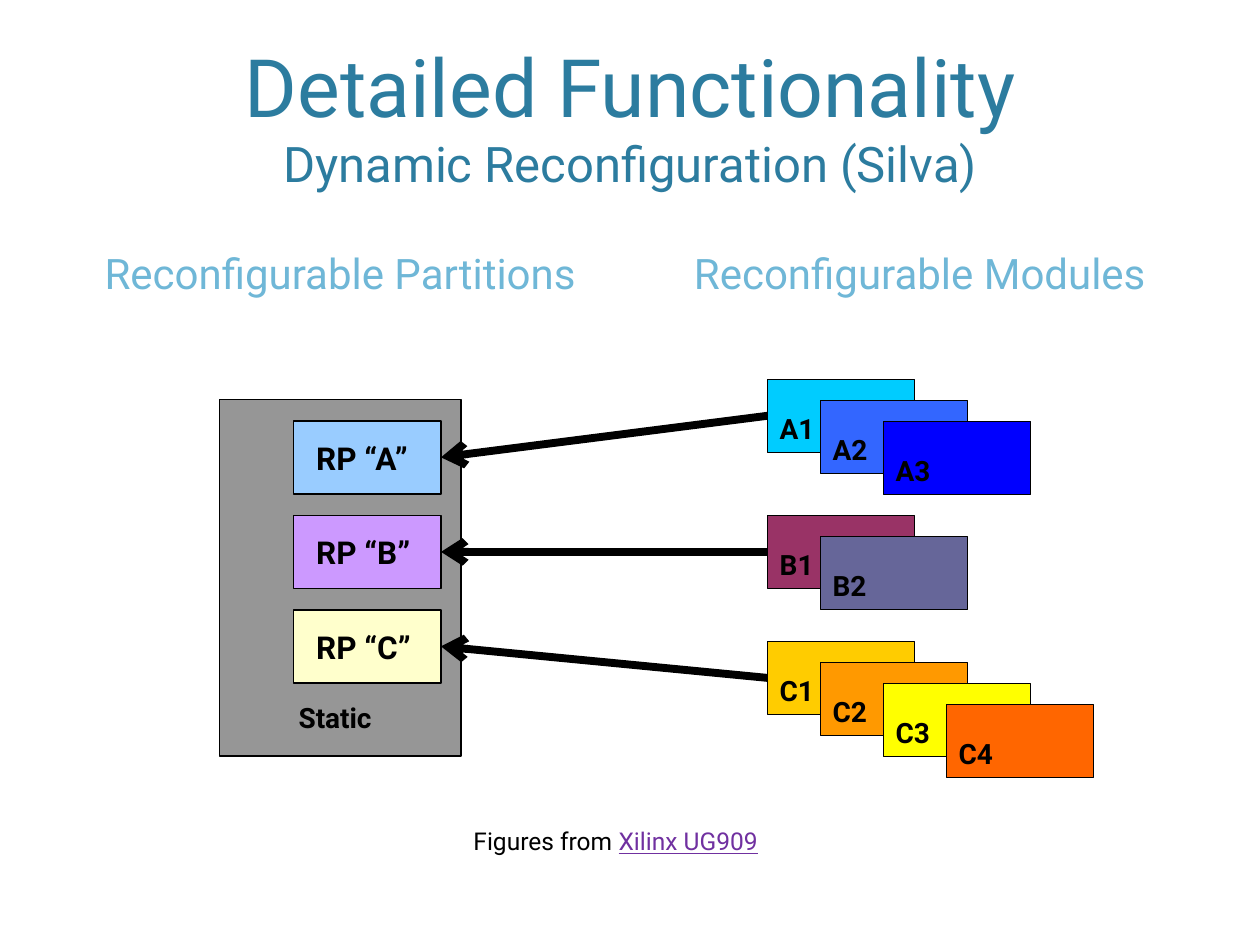
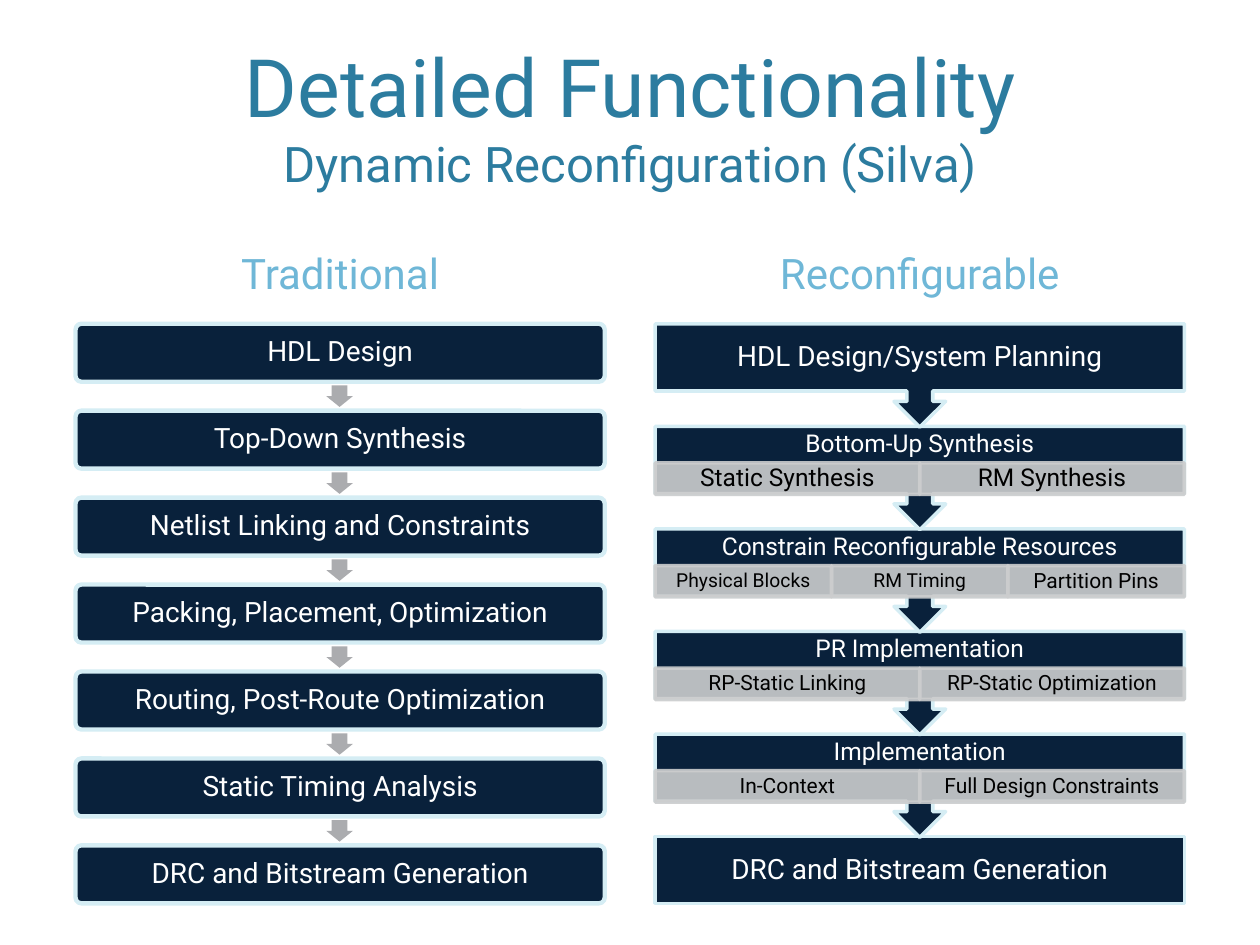
"""Build two slides on dynamic reconfiguration."""
from dataclasses import dataclass

from lxml import etree
from pptx import Presentation
from pptx import util as u
from pptx.dml import color as dml
from pptx.enum import shapes, text
from pptx.oxml import ns


@dataclass(frozen=True)
class Theme:
    font: str = "Roboto"
    title: str = "2C7C9F"
    head: str = "6FB7D7"
    navy: str = "09213B"
    pale: str = "D5EDF4"
    cell: str = "CCCDCE"
    arrow: str = "ABACAF"
    grey: str = "969696"
    link: str = "7030A0"
    black: str = "000000"
    white: str = "FFFFFF"
    huge: int = 46
    large: int = 28
    mid: int = 24
    label: int = 18
    body: int = 16
    small: int = 14
    tiny: int = 12
    least: int = 11


T = Theme()
FORM = shapes.MSO_SHAPE
ANCHOR = text.MSO_ANCHOR
ALIGN = text.PP_ALIGN


def draw(page, form, at, fill=None, edge=None, width=0.75, alpha=None):
    spot = [u.Inches(n) for n in at]
    if form is None:
        return page.shapes.add_textbox(*spot)
    shape = page.shapes.add_shape(form, *spot)
    shape.shadow.inherit = False
    shape.fill.solid()
    shape.fill.fore_color.rgb = dml.RGBColor.from_string(fill)
    if edge:
        shape.line.color.rgb = dml.RGBColor.from_string(edge)
        shape.line.width = u.Pt(width)
    else:
        shape.line.fill.background()
    if alpha:
        for tint in shape._element.spPr.iter(ns.qn("a:srgbClr")):
            etree.SubElement(tint, ns.qn("a:alpha"), val=str(alpha * 1000))
    return shape


def write(shape, runs, anchor=ANCHOR.MIDDLE, align=ALIGN.CENTER,
          pads=(0.1, 0.05, 0.1, 0.05), bold=False, space=1.0):
    frame = shape.text_frame
    frame.word_wrap = True
    frame.vertical_anchor = anchor
    frame.margin_left, frame.margin_top, frame.margin_right, frame.margin_bottom = [
        u.Inches(n) for n in pads]
    para = frame.paragraphs[0]
    para.alignment = align
    para.line_spacing = space
    for spot, (words, size, tint) in enumerate(runs):
        if spot and anchor == ANCHOR.BOTTOM:
            para.add_line_break()
        run = para.add_run()
        run.text = words
        run.font.name = T.font
        run.font.size = u.Pt(size)
        run.font.bold = bold
        run.font.underline = tint == T.link
        run.font.color.rgb = dml.RGBColor.from_string(tint)


deck = Presentation()
deck.slide_width, deck.slide_height = u.Inches(10), u.Inches(7.5)
LEFT, RIGHT, WIDE = 0.6, 5.2, 4.2
HEADS = [("Reconfigurable Partitions", "Reconfigurable Modules"),
         ("Traditional", "Reconfigurable")]
for pair in HEADS:
    page = deck.slides.add_slide(deck.slide_layouts[6])
    write(draw(page, None, (LEFT, 0.12, 8.8, 1.46)),
          [("Detailed Functionality", T.huge, T.title),
           ("Dynamic Reconfiguration (Silva)", T.large, T.title)], ANCHOR.BOTTOM)
    for x, head in zip((LEFT, RIGHT), pair):
        write(draw(page, None, (x, 1.59, WIDE, 0.82)),
              [(head, T.mid, T.head)], ANCHOR.BOTTOM)
banks, flows = deck.slides

write(draw(banks, None, (3.66, 6.51, 2.66, 0.34)),
      [("Figures from ", T.small, T.black), ("Xilinx UG909", T.small, T.link)],
      ANCHOR.TOP, ALIGN.LEFT)
write(draw(banks, FORM.RECTANGLE, (1.74, 3.17, 1.92, 2.83), T.grey, T.black),
      [("Static", T.body, T.black)], ANCHOR.BOTTOM, ALIGN.LEFT,
      (0.63, 0.05, 0.1, 0.17), True)

W, H = 1.17, 0.58
LEFTS = [6.09, 6.51, 7.01, 7.51]
BANKS = [("A", "99CCFF", 3.01, ["00CCFF", "3366FF", "0000FF"]),
         ("B", "CC99FF", 4.09, ["993366", "666699"]),
         ("C", "FFFFCC", 5.09, ["FFCC00", "FF9900", "FFFF00", "FF6600"])]
for row, (name, fill, top, tints) in enumerate(BANKS):
    y = 3.34 + row * 0.75
    write(draw(banks, FORM.RECTANGLE, (2.33, y, W, H), fill, T.black),
          [(f"RP “{name}”", T.label, T.black)], ANCHOR.MIDDLE, ALIGN.LEFT,
          (0.18, 0.05, 0.05, 0.05), True)
    for col, (x, tint) in enumerate(zip(LEFTS, tints)):
        write(draw(banks, FORM.RECTANGLE, (x, top + col / 6, W, H), tint, T.black),
              [(f"{name}{col + 1}", T.body, T.black)], ANCHOR.BOTTOM, ALIGN.LEFT,
              (0.1, 0.05, 0.1, 0.06), True)
    ends = (LEFTS[0], top + H / 2, 2.33 + W, y + H / 2)
    wire = banks.shapes.add_connector(shapes.MSO_CONNECTOR.STRAIGHT,
                                      *[u.Inches(n) for n in ends])
    wire.line.color.rgb = dml.RGBColor.from_string(T.black)
    wire.line.width = u.Pt(4.5)
    etree.SubElement(wire.line._get_or_add_ln(), ns.qn("a:tailEnd"), type="arrow")
    etree.SubElement(wire._element.spPr, ns.qn("a:effectLst"))

TOP, PITCH, TALL = 2.57, 0.69, 0.46
STEPS = ["HDL Design", "Top-Down Synthesis", "Netlist Linking and Constraints",
         "Packing, Placement, Optimization", "Routing, Post-Route Optimization",
         "Static Timing Analysis", "DRC and Bitstream Generation"]
for row, step in enumerate(STEPS):
    y = TOP + row * PITCH
    if row:
        mark = draw(flows, FORM.DOWN_ARROW, (2.59, y - 0.2, 0.21, 0.17), T.arrow)
        mark.adjustments[0], mark.adjustments[1] = 0.6, 0.5
    card = draw(flows, FORM.ROUNDED_RECTANGLE, (LEFT, y, WIDE, TALL), T.navy, T.pale, 2.5)
    card.adjustments[0] = 0.1
    write(card, [(step, T.body, T.white)], pads=[0.07] * 4, space=0.9)

STAGES = [
    ("HDL Design/System Planning", []),
    ("Bottom-Up Synthesis", [("Static Synthesis", T.small), ("RM Synthesis", T.small)]),
    ("Constrain Reconfigurable Resources",
     [("Physical Blocks", T.least), ("RM Timing", T.least), ("Partition Pins", T.tiny)]),
    ("PR Implementation",
     [("RP-Static Linking", T.tiny), ("RP-Static Optimization", T.tiny)]),
    ("Implementation", [("In-Context", T.tiny), ("Full Design Constraints", T.tiny)]),
    ("DRC and Bitstream Generation", [])]
LAST = len(STAGES) - 1
RISE = (6.64 - TOP) / LAST
for row, (stage, cells) in reversed(list(enumerate(STAGES))):
    y = TOP + row * RISE
    if row == LAST:
        draw(flows, FORM.RECTANGLE, (RIGHT, y, WIDE, 0.53), T.navy, T.pale, 2)
    else:
        call = draw(flows, FORM.UP_ARROW_CALLOUT, (RIGHT, y, WIDE, 0.82),
                    T.navy, T.pale, 2)
        call.rotation = 180
    size, tall = (T.small, 0.29) if cells else (T.body, 0.53)
    write(draw(flows, None, (RIGHT, y, WIDE, tall)), [(stage, size, T.white)],
          pads=[0.11] * 4, space=0.9)
    for col, (name, size) in enumerate(cells):
        wide = WIDE / len(cells)
        cell = draw(flows, FORM.RECTANGLE, (RIGHT + col * wide, y + 0.29, wide, 0.25),
                    T.cell, T.cell, 2, 90)
        write(cell, [(name, size, T.black)], pads=(0.09, 0.02, 0.09, 0.02), space=0.9)

deck.save("out.pptx")
